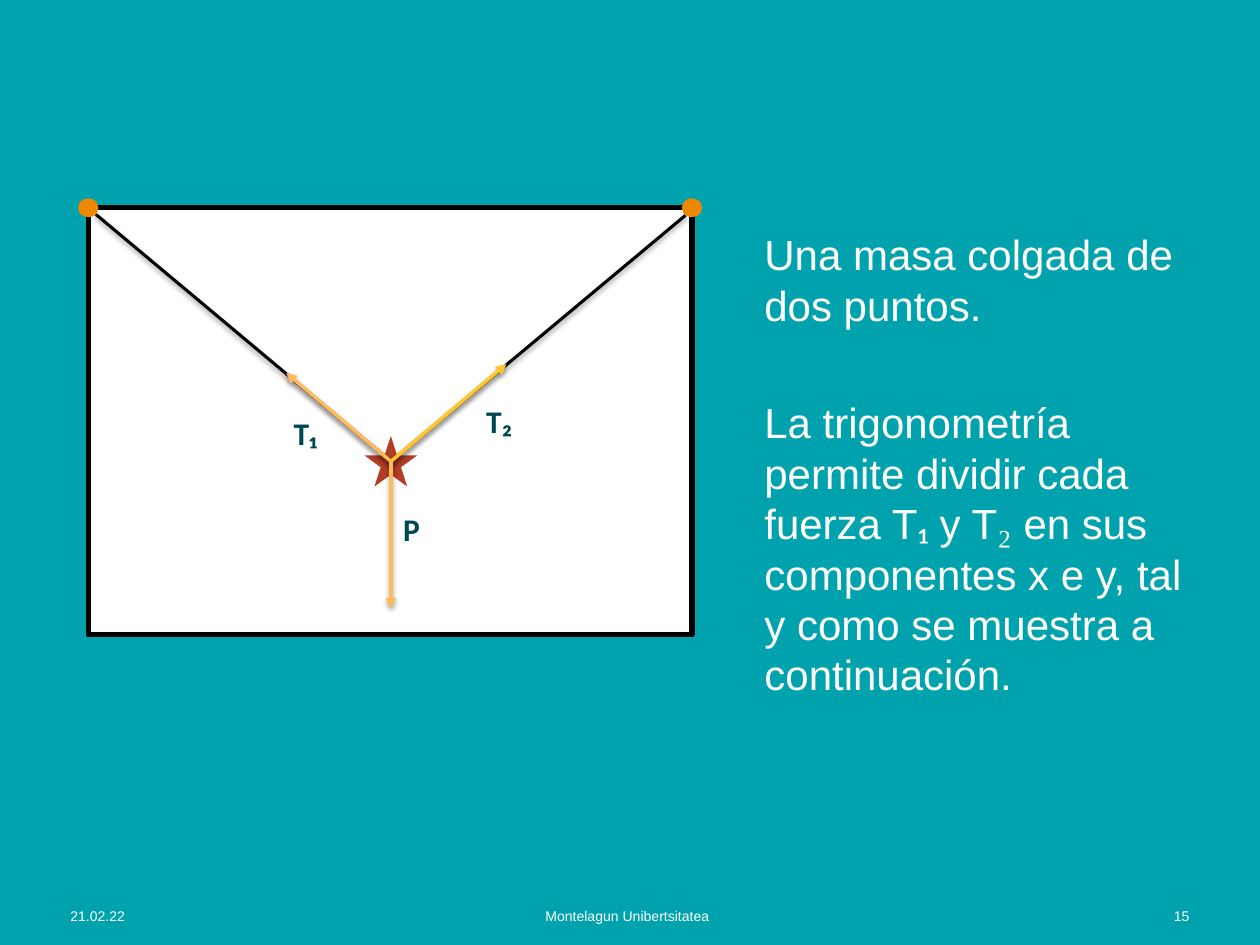
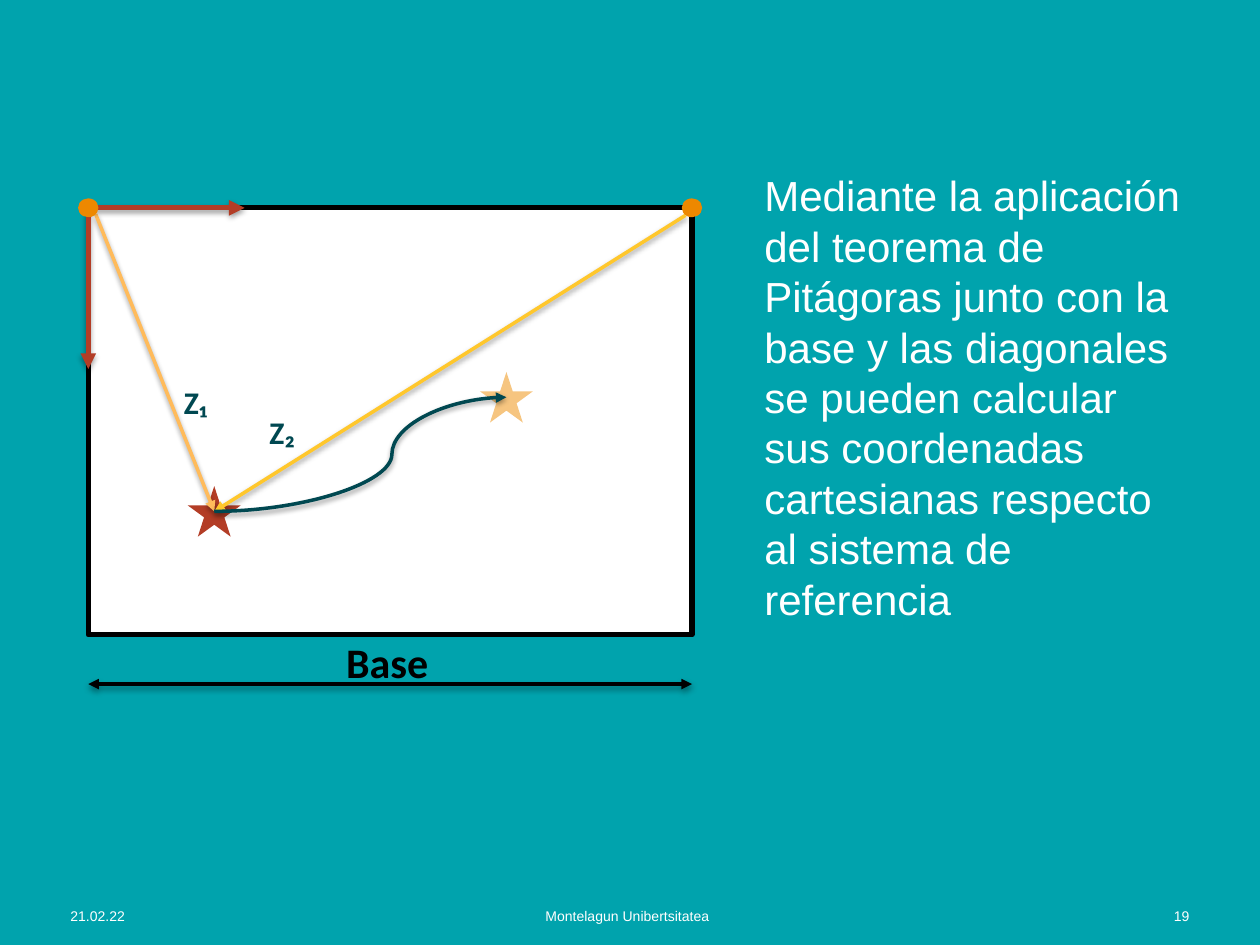
"""Build two slides about a mass hung from two points."""
import dataclasses
import itertools

import lxml.etree
import pptx
import pptx.dml.color
import pptx.enum.shapes
import pptx.enum.text
import pptx.oxml.ns
import pptx.util

Cm = pptx.util.Cm
Pt = pptx.util.Pt
Shape = pptx.enum.shapes.MSO_SHAPE
Connector = pptx.enum.shapes.MSO_CONNECTOR
Align = pptx.enum.text.PP_ALIGN
Anchor = pptx.enum.text.MSO_ANCHOR


@dataclasses.dataclass(frozen=True)
class Theme:
    """Colours, fonts and type sizes of the deck."""

    teal: str = "00A3AD"
    white: str = "FFFFFF"
    black: str = "000000"
    ink: str = "004851"
    pin: str = "ED8800"
    mass: str = "B33D26"
    target: str = "F6C580"
    left_force: str = "FFBB5B"
    right_force: str = "FFC72C"
    body_font: str = "Arial"
    label_font: str = "Calibri"
    footer_size: float = 8
    label_size: float = 18
    body_size: float = 24
    body_leading: float = 28.8


THEME = Theme()
BOARD = (1.78, 4.19, 12.17, 8.61)
FOOTER = (1.17, 17.96, 23.06, 1.02)
BODY_LEFT, BODY_WIDTH, BODY_BOTTOM = 15.16, 9.07, 16.92
SUBSCRIPT_FONTS = {"₁": "Calibri", "₂": "Times New Roman"}
LEFT_TIE, RIGHT_TIE = (0.15, 0.13), (12.04, 0.15)


def rgb(value):
    """Return a colour object for a hex string."""
    return pptx.dml.color.RGBColor.from_string(value)


def add_text(page, box, text, *, size, color=THEME.white, font=THEME.body_font,
             bold=False, align=Align.LEFT, anchor=Anchor.TOP, leading=None,
             gap=0, fonts=None):
    """Add a text box, one paragraph a line, with special fonts by character."""
    area = page.shapes.add_textbox(*map(Cm, box))
    frame = area.text_frame
    frame.word_wrap = True
    frame.vertical_anchor = anchor
    for index, line in enumerate(text.split("\n")):
        para = frame.add_paragraph() if index else frame.paragraphs[0]
        para.alignment = align
        if leading:
            para.line_spacing = Pt(leading)
        if index:
            para.space_before = Pt(gap)
        font_of = lambda letter: (fonts or {}).get(letter, font)
        for name, letters in itertools.groupby(line, font_of):
            span = para.add_run()
            span.text = "".join(letters)
            span.font.name = name
            span.font.size = Pt(size)
            span.font.bold = bold
            span.font.color.rgb = rgb(color)


def add_label(page, origin, text, color=THEME.ink, size=THEME.label_size,
              extent=(1.35, 1.02)):
    """Add a bold label at a point of the board."""
    add_text(page, (*on_board(origin), *extent), text, size=size, color=color,
             font=THEME.label_font, bold=True)


def on_board(point):
    """Turn a point of the board into a point of the slide."""
    return BOARD[0] + point[0], BOARD[1] + point[1]


def add_solid(page, kind, box, color, outline=None):
    """Add a filled preset shape with an optional outline."""
    solid = page.shapes.add_shape(kind, *map(Cm, box))
    solid.shadow.inherit = False
    solid.fill.solid()
    solid.fill.fore_color.rgb = rgb(color)
    if outline:
        solid.line.color.rgb = rgb(outline)
        solid.line.width = Pt(3)
    else:
        solid.line.fill.background()


def add_centred(page, kind, centre, extent, color):
    """Add a shape centred on a point of the board."""
    x, y = on_board(centre)
    width, height = extent
    add_solid(page, kind, (x - width / 2, y - height / 2, width, height), color)


def add_star(page, centre, color):
    """Add a star that marks a position of the mass."""
    add_centred(page, Shape.STAR_5_POINT, centre, (1.07, 1.02), color)


def add_pins(page):
    """Add the two hanging points at the upper corners of the board."""
    for x in (0, BOARD[2]):
        add_centred(page, Shape.OVAL, (x, 0), (0.41, 0.38), THEME.pin)


def add_child(parent, tag, **attributes):
    """Append a drawing element with its attributes."""
    return lxml.etree.SubElement(parent, pptx.oxml.ns.qn(tag), attributes)


def add_line(page, start, end, color, width=2, ends=("tailEnd",),
             kind=Connector.STRAIGHT):
    """Add a shadowed line between two points of the board."""
    points = (*on_board(start), *on_board(end))
    line = page.shapes.add_connector(kind, *map(Cm, points))
    line.line.color.rgb = rgb(color)
    line.line.width = Pt(width)
    for name in ends:
        add_child(line.get_or_add_ln(), f"a:{name}", type="triangle")
    effects = add_child(line.element.spPr, "a:effectLst")
    shadow = add_child(effects, "a:outerShdw", blurRad="40000", dist="20000",
                       dir="5400000", rotWithShape="0")
    tint = add_child(shadow, "a:srgbClr", val=THEME.black)
    add_child(tint, "a:alpha", val="38000")
    return line


def add_path(page, start, end):
    """Add the curved arrow from the mass to its target."""
    curve = add_line(page, start, end, THEME.ink, kind=Connector.CURVE)
    guides = curve.element.spPr.find(".//" + pptx.oxml.ns.qn("a:avLst"))
    add_child(guides, "a:gd", name="adj1", fmla="val 60800")


def add_footer(page, box, number):
    """Add date, institution and slide number along the footer box."""
    left, top, width, height = box
    parts = (
        (0, 3.38, "21.02.22", Align.LEFT),
        (4.85, 13.26, "Montelagun Unibertsitatea", Align.CENTER),
        (width - 3.25, 3.25, str(number), Align.RIGHT),
    )
    for offset, extent, text, align in parts:
        add_text(page, (left + offset, top, extent, height), text,
                 size=THEME.footer_size, align=align, anchor=Anchor.MIDDLE)


def add_page(deck, number, text, body_top):
    """Add a slide with background, footer, explanation and empty board."""
    page = deck.slides.add_slide(deck.slide_layouts[6])
    page.background.fill.solid()
    page.background.fill.fore_color.rgb = rgb(THEME.teal)
    add_footer(page, FOOTER, number)
    body = (BODY_LEFT, body_top, BODY_WIDTH, BODY_BOTTOM - body_top)
    add_text(page, body, text, size=THEME.body_size, gap=38.4,
             leading=THEME.body_leading, fonts=SUBSCRIPT_FONTS)
    add_solid(page, Shape.RECTANGLE, BOARD, THEME.white, THEME.black)
    return page


def build_forces(deck):
    """Build the slide with the forces acting on the mass."""
    page = add_page(
        deck, 15,
        "Una masa colgada de dos puntos.\n"
        "La trigonometría permite dividir cada fuerza T₁ y T₂ en sus "
        "componentes x e y, tal y como se muestra a continuación.", 4.49)
    mass = (6.1, 5.11)
    add_star(page, mass, THEME.mass)
    for tie in (LEFT_TIE, RIGHT_TIE):
        add_line(page, mass, tie, THEME.black, 1.75, ends=())
    add_pins(page)
    forces = (
        ("T₁", (3.89, 4.04), (3.99, 3.33), THEME.left_force),
        ("T₂", (7.77, 3.78), (8.43, 3.15), THEME.right_force),
        ("P", (6.1, 5.97), (6.1, 8.08), THEME.left_force),
    )
    for name, origin, tip, color in forces:
        add_label(page, origin, name)
        add_line(page, mass, tip, color)


def build_coordinates(deck):
    """Build the slide with the diagonals, the axes and the base."""
    page = add_page(
        deck, 19,
        "Mediante la aplicación del teorema de Pitágoras junto con la base y "
        "las diagonales se pueden calcular sus coordenadas cartesianas "
        "respecto al sistema de referencia", 3.3)
    mass, target = (2.54, 6.12), (8.43, 3.82)
    add_star(page, mass, THEME.mass)
    add_star(page, target, THEME.target)
    diagonals = (
        ("Z₁", (1.68, 3.4), LEFT_TIE, THEME.left_force),
        ("Z₂", (3.4, 4.01), RIGHT_TIE, THEME.right_force),
    )
    for name, origin, tie, color in diagonals:
        add_line(page, tie, mass, color)
        add_label(page, origin, name)
    base_y = 9.6
    add_line(page, (0, base_y), (BOARD[2], base_y), THEME.black,
             ends=("headEnd", "tailEnd"))
    add_label(page, (4.95, 8.51), "Base", THEME.black, THEME.body_size,
              (2.24, 1.27))
    for tip in ((0, 3.25), (3.15, 0)):
        add_line(page, (0, 0), tip, THEME.mass, 3)
    add_pins(page)
    add_path(page, mass, target)


def main():
    """Create the deck and save it."""
    deck = pptx.Presentation()
    deck.slide_width, deck.slide_height = Cm(25.4), Cm(19.05)
    build_forces(deck)
    build_coordinates(deck)
    deck.save("out.pptx")


if __name__ == "__main__":
    main()
